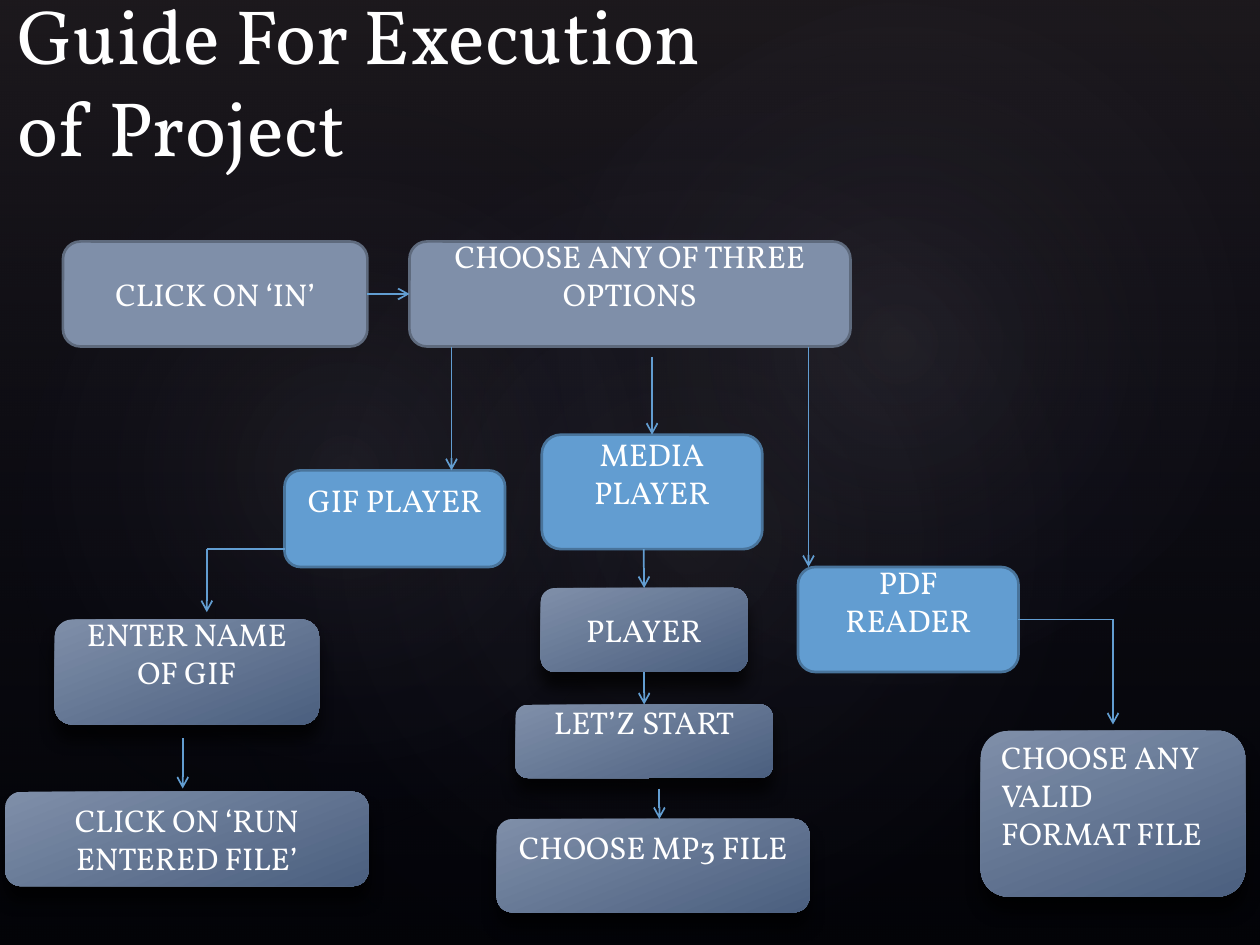
from lxml import etree
from pptx import Presentation, util as u
from pptx.dml.color import RGBColor
from pptx.enum import shapes as s, text as t
from pptx.oxml import parse_xml
from pptx.oxml.ns import nsdecls, qn

THEME = {
    "font": "Vollkorn", "text": "FFFFFF", "back": "000000", "title": 44, "body": 18,
    "gray": ("7F8FA9", "5E6A7D"), "blue": ("629DD1", "49749B"), "edge": 1.5,
    "step": [(0, "7F8FA9", 100), (100, "4B5F7F", 100)], "wire": "629DD1",
    "veil": [(0, "504652", 36), (100, "242852", 10)],
    "glow": ("C4BCC6", "242852"),
}

# The slide is a grid of 120 columns by 90 rows of square cells.
deck = Presentation()
deck.slide_width, deck.slide_height = u.Inches(10), u.Inches(7.5)
cell = deck.slide_width / 120
line = 3.6  # rows taken by one line of body text
slide = deck.slides.add_slide(deck.slide_layouts[6])
slide.background.fill.solid()
slide.background.fill.fore_color.rgb = RGBColor.from_string(THEME["back"])


def shade(shape, stops, angle=None):
    """Fill with (position, colour, opacity) stops: linear at angle, else radial."""
    marks = "".join(
        f'<a:gs pos="{pos * 1000}"><a:srgbClr val="{tint}">'
        f'<a:alpha val="{part * 1000}"/></a:srgbClr></a:gs>'
        for pos, tint, part in stops)
    if angle is None:
        way = ('<a:path path="circle"><a:fillToRect l="50000" t="50000" '
               'r="50000" b="50000"/></a:path>')
    else:
        way = f'<a:lin ang="{angle * 60000}" scaled="0"/>'
    shape._element.spPr.find(qn("a:prstGeom")).addnext(parse_xml(
        f'<a:gradFill {nsdecls("a")} rotWithShape="1"><a:gsLst>{marks}</a:gsLst>'
        f'{way}</a:gradFill>'))
    shape.line.fill.background()


def write(shape, words, size, align):
    frame = shape.text_frame
    frame.word_wrap = True
    frame.text = words
    para = frame.paragraphs[0]
    para.alignment = align
    font = para.runs[0].font
    font.name, font.size = THEME["font"], u.Pt(size)
    font.color.rgb = RGBColor.from_string(THEME["text"])


# Backdrop: a veil with three soft glows
veil = slide.shapes.add_shape(s.MSO_SHAPE.RECTANGLE, 0, 0, deck.slide_width, deck.slide_height)
veil.shadow.inherit = False
shade(veil, THEME["veil"], 90)
core, rim = THEME["glow"]
for x, y, w, h, turn, part in [
    (18, 13.7, 95, 74.9, 328.7, 7),
    (-3.6, 15.4, 72.7, 58.8, 294.3, 8),
    (43, 1.6, 85, 62.4, 328.7, 8),
]:
    glow = slide.shapes.add_shape(s.MSO_SHAPE.OVAL, *(int(n * cell) for n in (x, y, w, h)))
    glow.rotation = turn
    glow.shadow.inherit = False
    shade(glow, [(0, core, part), (58, rim, 0)])

# Title
title = slide.shapes.add_textbox(*(int(n * cell) for n in (0.5, 1, 75, 16)))
write(title, "Guide For Execution of Project", THEME["title"], t.PP_ALIGN.LEFT)
title.text_frame.vertical_anchor = t.MSO_ANCHOR.BOTTOM

# Boxes: name, words, style, place on the grid, whether the words sit half a line high
boxes = {}
for name, words, style, place, high in [
    ("in", "CLICK ON ‘IN’", "gray", (6, 23, 29, 10), False),
    ("pick", "CHOOSE ANY OF THREE OPTIONS", "gray", (39, 23, 42, 10), True),
    ("media", "MEDIA PLAYER", "blue", (51.6, 41.4, 21, 10.9), True),
    ("pdf", "PDF READER", "blue", (76, 54, 21, 10), True),
    ("gif", "GIF PLAYER", "blue", (27.1, 44.8, 21, 9.2), True),
    ("enter", "ENTER NAME OF GIF", "step", (5.2, 59, 25.2, 10), True),
    ("run", "CLICK ON ‘RUN ENTERED FILE’", "step", (0.5, 75.4, 34.6, 9), False),
    ("play", "PLAYER", "step", (51.5, 56, 19.7, 8), False),
    ("start", "LET’Z START", "step", (49.1, 67.1, 24.5, 7), True),
    ("song", "CHOOSE MP3 FILE", "step", (47.3, 78, 29.8, 8.9), True),
    ("file", "CHOOSE ANY VALID FORMAT FILE", "step", (93.4, 69.6, 25.2, 15.8), True),
]:
    box = slide.shapes.add_shape(s.MSO_SHAPE.ROUNDED_RECTANGLE, *(int(n * cell) for n in place))
    box.shadow.inherit = False
    if style == "step":
        shade(box, THEME["step"], 69)
        box._element.spPr.find(qn("a:effectLst")).append(parse_xml(
            f'<a:outerShdw {nsdecls("a")} blurRad="114300" dist="114300" dir="5400000" '
            'rotWithShape="0"><a:srgbClr val="000000"><a:alpha val="70000"/>'
            '</a:srgbClr></a:outerShdw>'))
    else:
        fill, edge = THEME[style]
        box.fill.solid()
        box.fill.fore_color.rgb = RGBColor.from_string(fill)
        box.line.color.rgb = RGBColor.from_string(edge)
        box.line.width = u.Pt(THEME["edge"])
    write(box, words, THEME["body"], t.PP_ALIGN.LEFT if name == "file" else t.PP_ALIGN.CENTER)
    frame = box.text_frame
    frame.vertical_anchor = t.MSO_ANCHOR.MIDDLE
    frame.margin_top = 0
    frame.margin_bottom = int(line * cell) if high else 0
    boxes[name] = box

# Lines: start, end, arrowhead, joined box and side at each end
for x1, y1, x2, y2, head, first, last in [
    (35, 28, 39, 28, True, ("in", 3), ("pick", 1)),
    (62.1, 34, 62.1, 41.4, True, None, ("media", 0)),
    (43, 33, 43, 44.8, True, None, None),
    (77, 33, 77, 54, True, None, None),
    (61.3, 52.3, 61.3, 56, True, None, ("play", 0)),
    (61.3, 64, 61.3, 67.1, True, ("play", 2), ("start", 0)),
    (62.8, 75.1, 62.8, 78, True, None, None),
    (19.7, 52.3, 27.1, 52.3, False, None, None),
    (19.7, 52.3, 19.7, 58.3, True, None, None),
    (17.4, 70.3, 17.4, 75.1, True, None, None),
    (97, 59, 106, 59, False, ("pdf", 3), None),
    (106, 59, 106, 69, True, None, None),
]:
    wire = slide.shapes.add_connector(
        s.MSO_CONNECTOR.STRAIGHT, *(int(n * cell) for n in (x1, y1, x2, y2)))
    if first:
        wire.begin_connect(boxes[first[0]], first[1])
    if last:
        wire.end_connect(boxes[last[0]], last[1])
    wire.line.color.rgb = RGBColor.from_string(THEME["wire"])
    wire.line.width = u.Pt(1)
    if head:
        etree.SubElement(wire.line._get_or_add_ln(), qn("a:tailEnd"), type="arrow")
    etree.SubElement(wire._element.spPr, qn("a:effectLst"))

deck.save("out.pptx")
